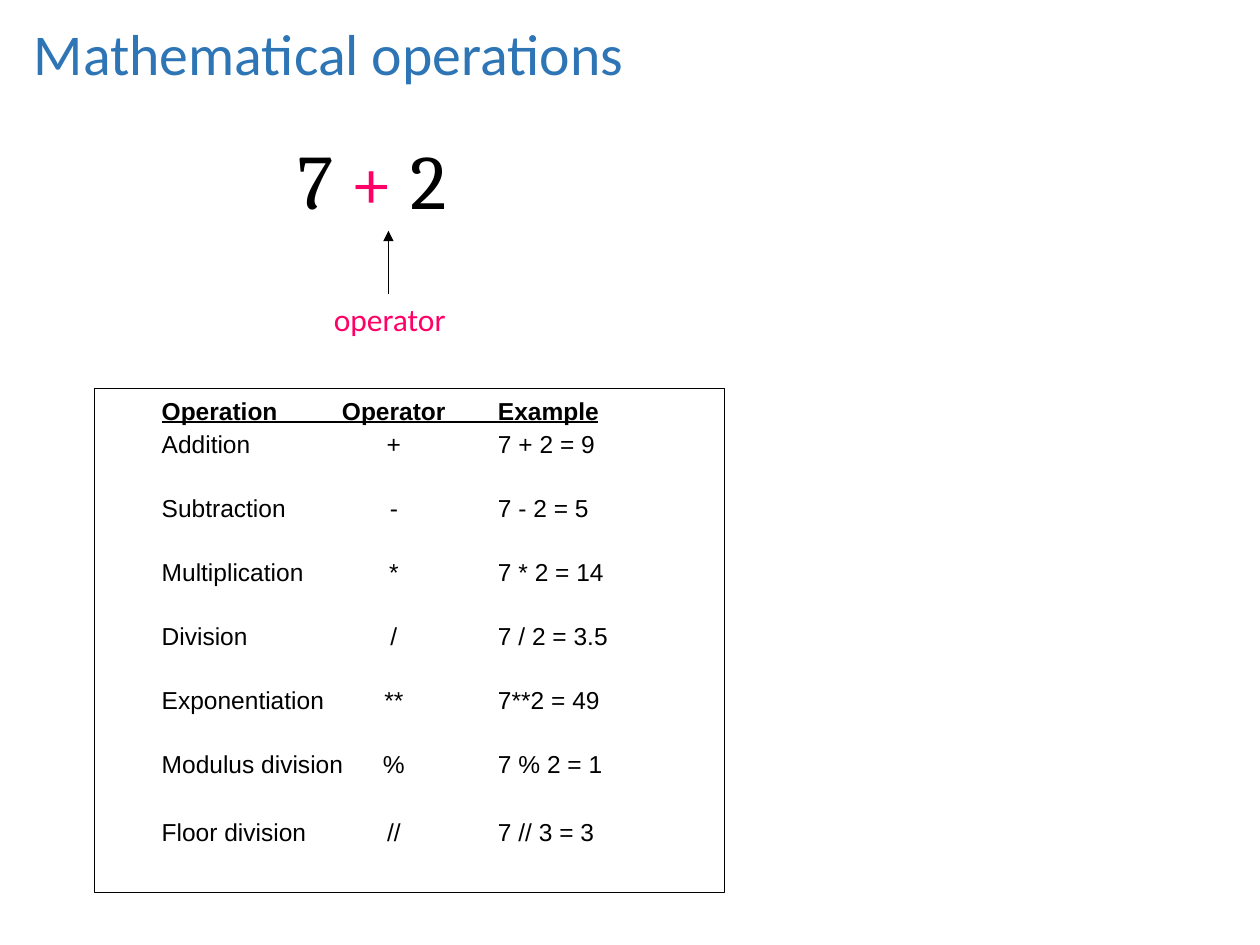
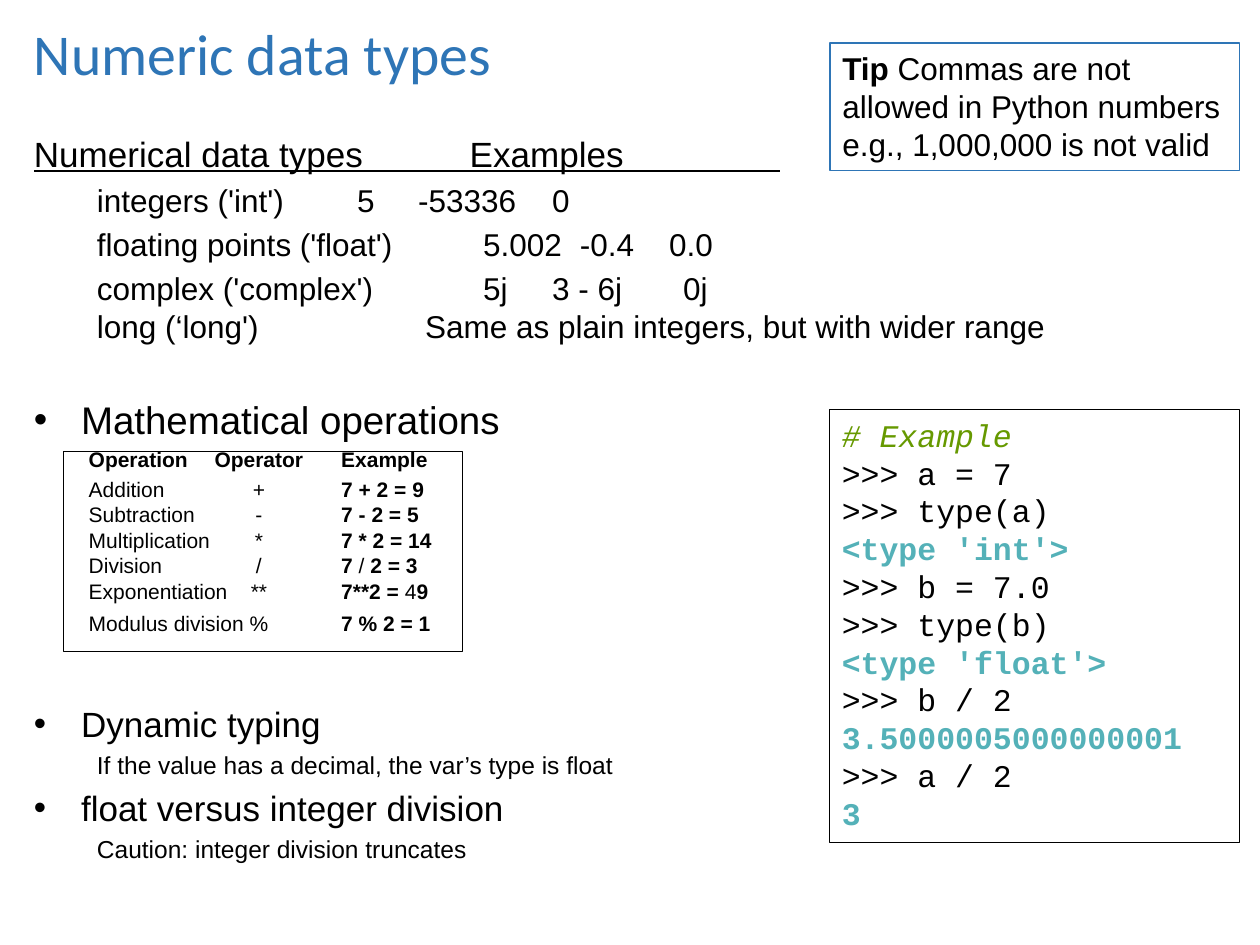
"""Build two slides on Python's mathematical operations and numeric data types."""
from lxml import etree
from pptx import Presentation
from pptx.dml.color import RGBColor
from pptx.enum.shapes import MSO_CONNECTOR as CONNECTOR, MSO_SHAPE as SHAPE
from pptx.enum.text import MSO_ANCHOR as ANCHOR, MSO_AUTO_SIZE as AUTO_SIZE, PP_ALIGN as ALIGN
from pptx.oxml.ns import qn
from pptx.util import Cm, Pt

BLACK, WHITE, BLUE, PINK = "000000", "FFFFFF", "2E75B6", "FF0066"
GREEN, TEAL = "669900", "54B1B8"
LINE_HEIGHT, PARAGRAPH_GAP = 1.2, 0.2


def color(hex_code):
    return RGBColor.from_string(hex_code)


def write(frame, text, size=18, font="Arial", ink=BLACK, bold=False, italic=False,
          marked_bold=None, marked_ink=None, before=None, left=0, first=0,
          bullet=False, align=ALIGN.LEFT):
    """Add a paragraph; the parts between bars take the marked format."""
    starts_frame = not frame.text
    paragraph = frame.paragraphs[0] if starts_frame else frame.add_paragraph()
    properties = paragraph._p.get_or_add_pPr()
    properties.set("marL", str(Cm(left)))
    properties.set("indent", str(Cm(first)))
    if bullet:
        etree.SubElement(properties, qn("a:buFont"), typeface="Arial")
        etree.SubElement(properties, qn("a:buChar"), char="•")
    else:
        etree.SubElement(properties, qn("a:buNone"))
    paragraph.alignment = align
    paragraph.line_spacing = Pt(size * LINE_HEIGHT)
    gap = size * PARAGRAPH_GAP if before is None else before
    paragraph.space_before = Pt(0 if starts_frame else gap)
    for index, piece in enumerate(text.split("|")):
        if not piece:
            continue
        marked = index % 2 == 1
        run = paragraph.add_run()
        run.text = piece
        run.font.name = font
        run.font.size = Pt(size)
        run.font.italic = italic
        run.font.bold = marked_bold if marked and marked_bold is not None else bold
        run.font.color.rgb = color(marked_ink if marked and marked_ink else ink)


presentation = Presentation()
presentation.slide_width, presentation.slide_height = Cm(25.4), Cm(19.05)

slides = []
for heading, layout_index in (("Mathematical operations", 5), ("Numeric data types", 1)):
    slide = presentation.slides.add_slide(presentation.slide_layouts[layout_index])
    title = slide.shapes.title
    title.left, title.top, title.width, title.height = Cm(0.43), Cm(0.43), Cm(22.22), Cm(1.27)
    title.text_frame.auto_size = AUTO_SIZE.NONE
    title.text_frame.vertical_anchor = ANCHOR.MIDDLE
    write(title.text_frame, heading, size=33, font="Calibri", ink=BLUE)
    slides.append(slide)
operations_slide, types_slide = slides

body = types_slide.placeholders[1]
body.left, body.top, body.width, body.height = Cm(0.43), Cm(2.54), Cm(23.5), Cm(15.04)
body_frame = body.text_frame
body_frame.auto_size = AUTO_SIZE.NONE
body_frame.vertical_anchor = ANCHOR.TOP

write(body_frame, "Numerical data types", size=20)
for type_name, gap in (("integers ('int')", None), ("floating points ('float')", None),
                       ("complex ('complex')", None), ("long (‘long')", 0)):
    write(body_frame, type_name, first=1.27, before=gap)
bullet_format = {"left": 0.95, "first": -0.95, "bullet": True}
write(body_frame, "Mathematical operations", size=22, before=29.6, **bullet_format)
for topic, detail, gap in (
        ("Dynamic typing", "If the value has a decimal, the var’s type is float", 148.5),
        ("float versus integer division", "Caution: integer division truncates", None)):
    write(body_frame, topic, size=20, before=gap, **bullet_format)
    write(body_frame, detail, size=14, first=1.27, before=3.2)

frames = []
for slide, left, top, width, height, fill, outline, weight in (
        (operations_slide, 1.9, 7.82, 12.7, 10.16, None, BLACK, 0.25),
        (types_slide, 1.27, 9.09, 8.05, 4.03, None, BLACK, 0.25),
        (types_slide, 16.72, 8.26, 8.26, 8.72, WHITE, BLACK, 0.25),
        (types_slide, 16.73, 0.87, 8.26, 2.57, None, BLUE, 0.75)):
    box = slide.shapes.add_shape(SHAPE.RECTANGLE, Cm(left), Cm(top), Cm(width), Cm(height))
    box.shadow.inherit = False
    if fill:
        box.fill.solid()
        box.fill.fore_color.rgb = color(fill)
    else:
        box.fill.background()
    box.line.color.rgb = color(outline)
    box.line.width = Pt(weight)
    box.text_frame.word_wrap = True
    box.text_frame.vertical_anchor = ANCHOR.TOP
    frames.append(box.text_frame)
code_frame, tip_frame = frames[2:]

blocks = [
    (operations_slide, 6, 2.67, 7, ["7 |+| 2"], [0],
     {"size": 44, "font": "Cambria", "marked_ink": PINK}),
    (operations_slide, 6.73, 6.05, 5, ["operator"], [0], {"font": "Calibri", "ink": PINK}),
    (types_slide, 9.47, 2.67, 4, ["Examples"], [0], {"size": 20}),
    (types_slide, 8.57, 6.18, 13, ["Same as plain integers, but with wider range"], [0], {}),
]
for top, examples in (
        (3.64, (("5", 7.2), ("-53336", 8.43), ("0", 11.13))),
        (4.53, (("5.002", 9.74), ("-0.4", 11.69), ("0.0", 13.49))),
        (5.42, (("5j", 9.74), ("3 - 6j", 11.13), ("0j", 13.77)))):
    for number, left in examples:
        blocks.append((types_slide, left, top, 3, [number], [0], {}))

names = ["|Operation|", "Addition", "Subtraction", "Multiplication", "Division",
         "Exponentiation", "Modulus division", "Floor division"]
operators = ["|Operator|", "+", "-", "*", "/", "**", "%", "//"]
long_examples = ["|Example|", "7 + 2 = 9", "7 - 2 = 5", "7 * 2 = 14", "7 / 2 = 3.5",
                 "7**2 = 49", "7 % 2 = 1", "7 // 3 = 3"]
short_examples = ["|Example|", "|7 + 2 = 9|", "|7 - 2 = 5|", "|7 * 2 = 14|", "|7| / |2 = 3|",
                  "|7**2 =| 4|9|", "|7 % 2 = 1|"]
long_gaps = [0, 2.4] + [19.7] * 5 + [22]
short_gaps = [0, 2.8] + [0.15] * 4 + [3.9]
for slide, top, size, gaps, columns in (
        (operations_slide, 7.98, 14, long_gaps,
         ((3.26, 4, names), (6.74, 2.4, operators), (10.04, 3, long_examples))),
        (types_slide, 9, 12, short_gaps,
         ((1.79, 3.6, names), (4.22, 2, operators), (6.88, 2.4, short_examples)))):
    for left, width, cells in columns:
        alignment = ALIGN.CENTER if cells is operators else ALIGN.LEFT
        blocks.append((slide, left, top, width, cells[:len(gaps)], gaps,
                       {"size": size, "marked_bold": True, "align": alignment}))

for slide, left, top, width, lines, gaps, text_format in blocks:
    height = sum(gaps) + len(lines) * text_format.get("size", 18) * LINE_HEIGHT
    text_box = slide.shapes.add_textbox(Cm(left), Cm(top), Cm(width), Pt(height))
    frame = text_box.text_frame
    frame.word_wrap = True
    frame.margin_left = frame.margin_right = frame.margin_top = frame.margin_bottom = 0
    for text, gap in zip(lines, gaps):
        write(frame, text, before=gap, **text_format)

for slide, start_x, start_y, end_x, end_y, weight, has_arrow in (
        (operations_slide, 7.83, 5.92, 7.83, 4.65, 0.75, True),
        (operations_slide, 3.27, 8.51, 12.05, 8.51, 1, False),
        (types_slide, 0.69, 3.45, 15.72, 3.45, 1.25, False)):
    line = slide.shapes.add_connector(CONNECTOR.STRAIGHT, Cm(start_x), Cm(start_y),
                                      Cm(end_x), Cm(end_y))
    line.line.color.rgb = color(BLACK)
    line.line.width = Pt(weight)
    if has_arrow:
        etree.SubElement(line.line._get_or_add_ln(), qn("a:tailEnd"), type="triangle")
    etree.SubElement(line._element.spPr, qn("a:effectLst"))

write(code_frame, "# Example", font="Courier New", ink=GREEN, italic=True)
for code_line in (">>> a = 7", ">>> type(a)", "<type 'int'>", ">>> b = 7.0", ">>> type(b)",
                  "<type 'float'>", ">>> b / 2", "3.5000005000000001", ">>> a / 2", "3"):
    is_output = not code_line.startswith(">>>")
    write(code_frame, code_line, font="Courier New", before=0, bold=is_output,
          ink=TEAL if is_output else BLACK)

write(tip_frame, "|Tip| Commas are not allowed in Python numbers", marked_bold=True)
write(tip_frame, "e.g., 1,000,000 is not valid", before=0)

presentation.save("out.pptx")
